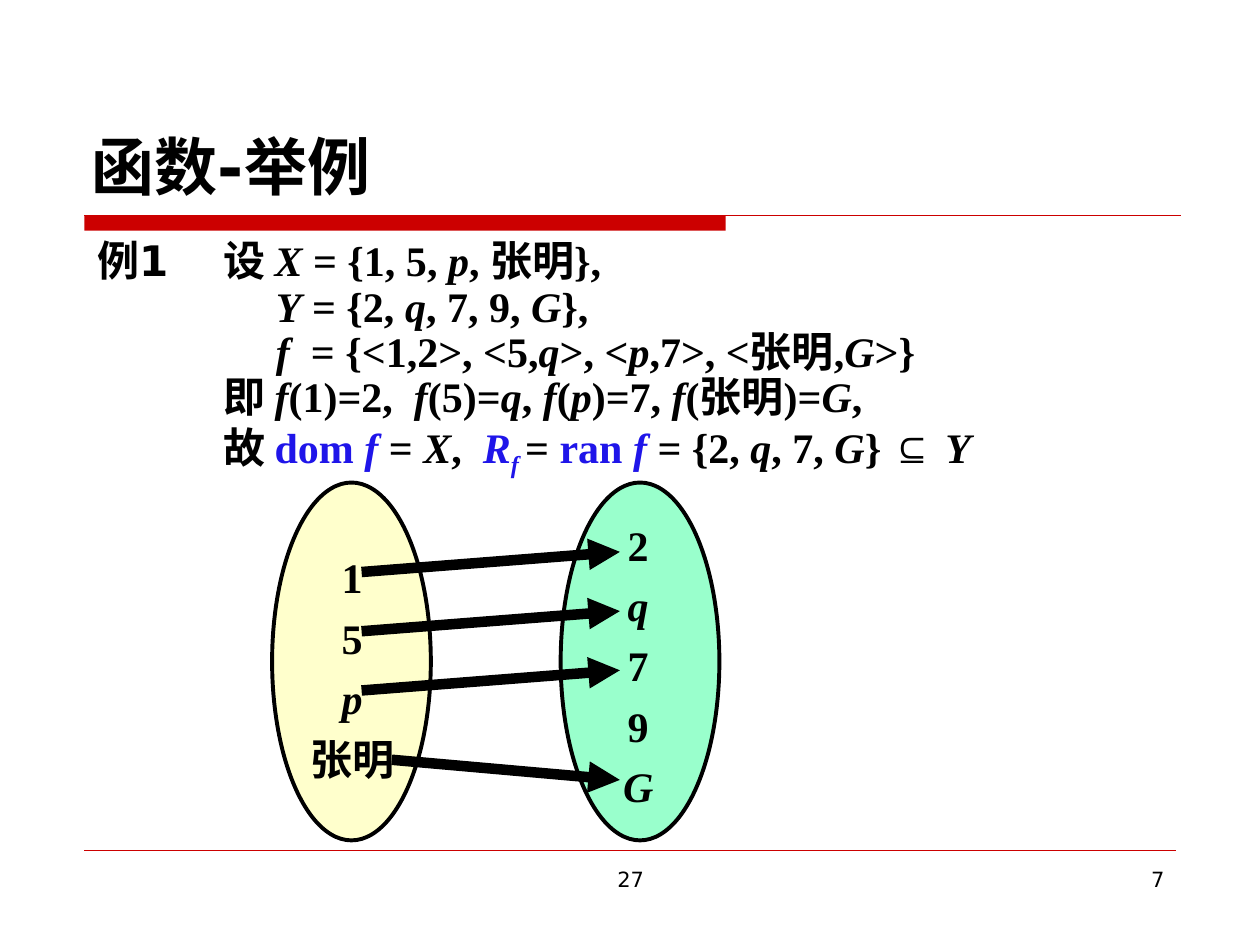
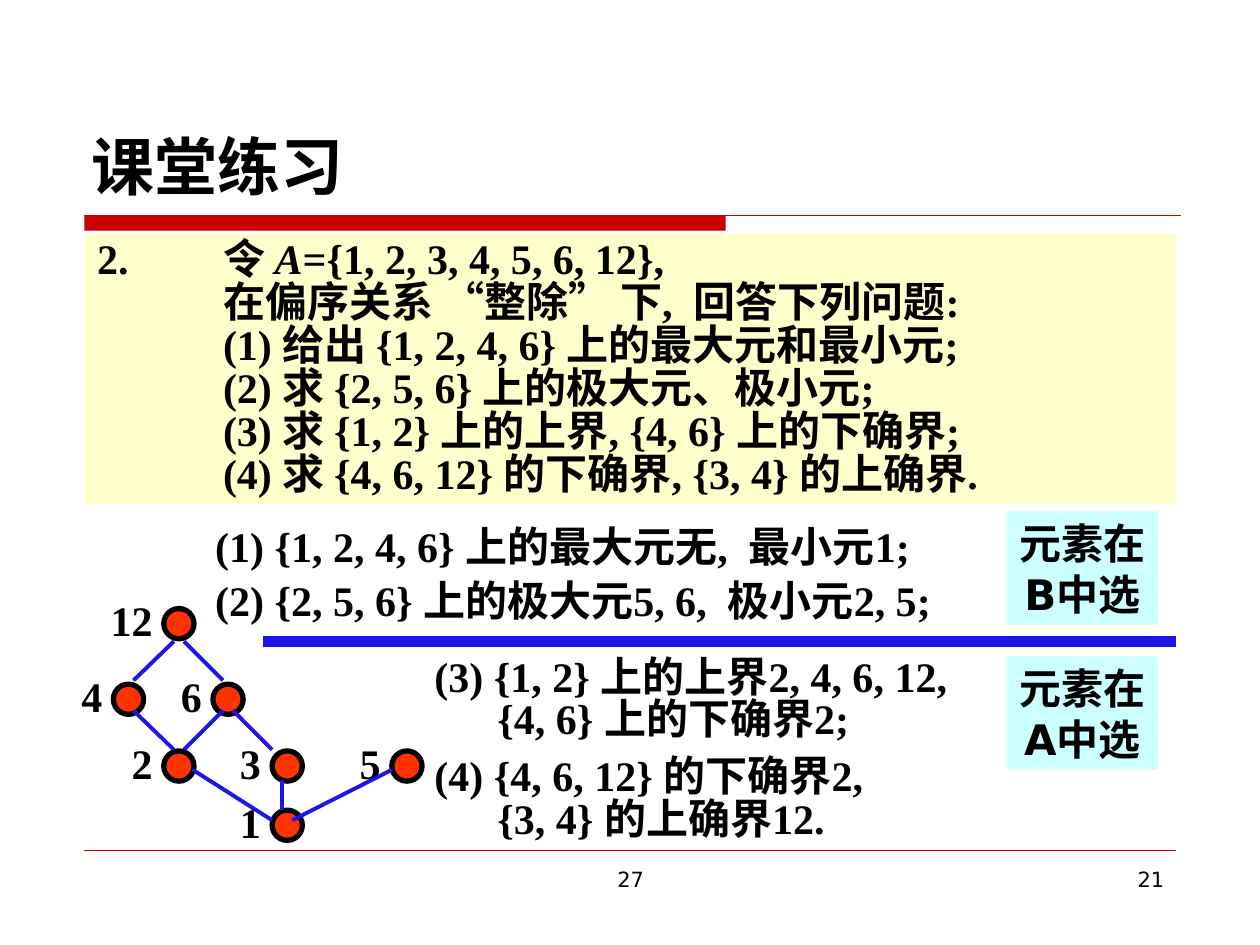
from lxml import etree
from pptx import Presentation
from pptx.dml.color import RGBColor
from pptx.enum import shapes, text
from pptx.oxml import ns
from pptx.util import Inches, Pt

BLACK = RGBColor(0x00, 0x00, 0x00)
RED = RGBColor(0xCC, 0x00, 0x00)
BLUE = RGBColor(0x1F, 0x15, 0xE9)
CREAM = RGBColor(0xFF, 0xFF, 0xCC)
MINT = RGBColor(0x99, 0xFF, 0xCC)
AQUA = RGBColor(0xCC, 0xFF, 0xFF)
ORANGE = RGBColor(0xFF, 0x33, 0x00)
SERIF = "Times New Roman"
SANS = "DejaVu Sans"
CJK = "Noto Sans CJK JP"
LEFT, CENTER, RIGHT = text.PP_ALIGN.LEFT, text.PP_ALIGN.CENTER, text.PP_ALIGN.RIGHT
TOP, MIDDLE, BOTTOM = text.MSO_ANCHOR.TOP, text.MSO_ANCHOR.MIDDLE, text.MSO_ANCHOR.BOTTOM


def add_element(parent, tag, **attributes):
    return etree.SubElement(parent, ns.qn(tag), attributes)


def write(para, words, font=SERIF, size=24, color=BLACK, bold=True, baseline=0):
    """Text between asterisks is italic."""
    for index, part in enumerate(words.split("*")):
        if not part:
            continue
        span = para.add_run()
        span.text = part
        span.font.name = font
        span.font.size = Pt(size)
        span.font.bold = bold
        span.font.italic = index % 2 == 1
        span.font.color.rgb = color
        properties = span.font._element
        if baseline:
            properties.set("baseline", str(baseline))
        add_element(properties, "a:ea", typeface=CJK)


def fill_frame(frame, lines, align=LEFT, anchor=TOP, spacing=1, wrap=True,
               auto_size=text.MSO_AUTO_SIZE.NONE, **style):
    frame.word_wrap = wrap
    frame.auto_size = auto_size
    frame.vertical_anchor = anchor
    for index, line in enumerate(lines):
        para = frame.paragraphs[0] if index == 0 else frame.add_paragraph()
        para.alignment = align
        para.line_spacing = spacing
        para.space_before = para.space_after = Pt(0)
        spans = [(line, {})] if isinstance(line, str) else line
        for words, extra in spans:
            write(para, words, **{**style, **extra})


def place(shape, box):
    shape.left, shape.top, shape.width, shape.height = map(Inches, box)


def indent(para, margin):
    properties = para._p.get_or_add_pPr()
    properties.set("marL", str(Inches(margin)))
    properties.set("indent", "0")
    return properties


def add_text(page, box, lines, **style):
    label = page.shapes.add_textbox(*map(Inches, box))
    fill_frame(label.text_frame, lines, **style)
    return label


def add_block(page, kind, box, fill, line_width=0):
    block = page.shapes.add_shape(kind, *map(Inches, box))
    block.shadow.inherit = False
    block.fill.solid()
    block.fill.fore_color.rgb = fill
    if line_width:
        block.line.color.rgb = BLACK
        block.line.width = Pt(line_width)
    else:
        block.line.fill.background()
    return block


def add_line(page, start, end, color, width, arrow=False):
    line = page.shapes.add_connector(
        shapes.MSO_CONNECTOR.STRAIGHT, *map(Inches, (*start, *end)))
    line.line.color.rgb = color
    line.line.width = Pt(width)
    if arrow:
        add_element(line.line._get_or_add_ln(), "a:tailEnd", type="triangle")
    add_element(line._element.spPr, "a:effectLst")


def add_page(deck, title, number):
    page = deck.slides.add_slide(deck.slide_layouts[1])
    add_block(page, shapes.MSO_SHAPE.RECTANGLE, (0.67, 1.71, 5.09, 0.12), RED)
    add_line(page, (0.67, 1.71), (9.37, 1.71), RED, 1)
    add_line(page, (0.67, 6.75), (9.33, 6.75), RED, 0.25)
    footer = {"font": SANS, "size": 12, "bold": False}
    add_text(page, (3.42, 6.83, 3.17, 0.52), ["27"], align=CENTER, **footer)
    add_text(page, (7.17, 6.83, 2.17, 0.52), [number], align=RIGHT, **footer)
    place(page.shapes.title, (0.63, 0.33, 8.75, 1.33))
    fill_frame(page.shapes.title.text_frame, [title], anchor=BOTTOM, font=SANS, size=36)
    return page


def fill_body(page, box, lines, margins, spacing, fill=None):
    body = page.placeholders[1]
    place(body, box)
    if fill is not None:
        body.fill.solid()
        body.fill.fore_color.rgb = fill
    fill_frame(body.text_frame, lines, spacing=spacing)
    for para, margin in zip(body.text_frame.paragraphs, margins):
        add_element(indent(para, margin), "a:buNone")


def add_set(page, box, members, text_left, text_top, fill):
    left, top, width, height = box
    add_block(page, shapes.MSO_SHAPE.OVAL, box, fill, 2.25)
    add_text(page, (left + text_left, top + text_top, 0.93, height - 2 * text_top),
             members, align=CENTER, spacing=1.2)


def add_mapping(page, left, top):
    add_set(page, (left, top, 1.26, 2.84), ["1", "5", "*p*", "张明"], 0.17, 0.42, CREAM)
    add_set(page, (left + 2.29, top, 1.26, 2.84), ["2", "*q*", "7", "9", "*G*"],
            0.15, 0.16, MINT)
    arrows = [(0.71, 0.71 + 0.47 * row, -0.16) for row in range(3)] + [(0.95, 2.2, 0.16)]
    for x, y, rise in arrows:
        add_line(page, (left + x, top + y), (left + 2.76, top + y + rise), BLACK, 6, arrow=True)


def add_divisor_diagram(page, left, top):
    nodes = {"1": (1.49, 1.68), "2": (0.63, 1.21), "3": (1.49, 1.21), "5": (2.44, 1.21),
             "4": (0.23, 0.68), "6": (1.02, 0.68), "12": (0.63, 0.08)}
    edges = [(0.86, 1.36, 1.49, 1.76), (2.44, 1.36, 1.65, 1.76), (1.57, 1.44, 1.57, 1.68),
             (1.1, 0.89, 0.79, 1.2), (1.18, 0.89, 1.49, 1.2), (0.39, 0.89, 0.71, 1.2),
             (0.79, 0.34, 1.1, 0.65), (0.71, 0.34, 0.39, 0.65)]
    for name, (x, y) in nodes.items():
        add_block(page, shapes.MSO_SHAPE.FLOWCHART_CONNECTOR,
                  (left + x, top + y, 0.24, 0.24), ORANGE, 3)
        add_text(page, (left + x - 0.63, top + y - 0.08, 0.64, 0.42), [name],
                 align=RIGHT, spacing=0.8)
    for x1, y1, x2, y2 in edges:
        add_line(page, (left + x1, top + y1), (left + x2, top + y2), BLUE, 2.25)


def add_answer(page, box, lines):
    answer = add_text(page, box, lines, anchor=MIDDLE, spacing=0.85)
    for para in answer.text_frame.paragraphs[1:]:
        indent(para, 0.5)


def add_hint(page, left, top, set_name):
    hint = add_block(page, shapes.MSO_SHAPE.RECTANGLE, (left, top, 1.2, 0.9), AQUA)
    fill_frame(hint.text_frame, ["元素在", [(set_name, {"font": SANS}), ("中选", {})]],
               align=CENTER, wrap=False, font=CJK,
               auto_size=text.MSO_AUTO_SIZE.SHAPE_TO_FIT_TEXT)


def build_function_example(deck):
    page = add_page(deck, "函数-举例", "7")
    blue = {"color": BLUE}
    fill_body(page, (0.67, 1.86, 8.66, 1.95), [
        [("例", {}), ("1\t", {"font": SANS}), ("设 *X* = {1, 5, *p*, 张明},", {})],
        "*Y* = {2, *q*, 7, 9, *G*},",
        "*f*  = {<1,2>, <5,*q*>, <*p*,7>, <张明,*G*>}",
        "即 *f*(1)=2,  *f*(5)=*q*, *f*(*p*)=7, *f*(张明)=*G*,",
        [("故 ", {}), ("dom *f *", blue), ("= *X*,  ", {}), ("*R*", blue),
         ("*f *", {"color": BLUE, "baseline": -25000}), ("= ", {}), ("ran *f *", blue),
         ("= {2, *q*, 7, *G*} ", {}), ("⊆ ", {"font": "Arial"}), ("*Y*", {})],
    ], [0, 1.42, 1.42, 1, 1], 0.9)
    add_mapping(page, 2.16, 3.83)


def build_exercise(deck):
    page = add_page(deck, "课堂练习", "21")
    fill_body(page, (0.67, 1.86, 8.66, 2.14), [
        "2.\t\t令 *A*={1, 2, 3, 4, 5, 6, 12},",
        "在偏序关系 “整除” 下,  回答下列问题:",
        "(1) 给出 {1, 2, 4, 6} 上的最大元和最小元;",
        "(2) 求 {2, 5, 6} 上的极大元、极小元;",
        "(3) 求 {1, 2} 上的上界, {4, 6} 上的下确界;",
        "(4) 求 {4, 6, 12} 的下确界, {3, 4} 的上确界.",
    ], [0] + [1] * 5, 0.85, CREAM)
    add_divisor_diagram(page, 0.67, 4.75)
    add_answer(page, (1.61, 4.14, 6.69, 0.44), ["(1) {1, 2, 4, 6} 上的最大元无,  最小元1;"])
    add_answer(page, (1.61, 4.57, 6.69, 0.44), ["(2) {2, 5, 6} 上的极大元5, 6,  极小元2, 5;"])
    add_answer(page, (3.35, 5.17, 5.2, 0.78),
               ["(3) {1, 2} 上的上界2, 4, 6, 12,", "{4, 6} 上的下确界2;"])
    add_answer(page, (3.35, 5.96, 5.2, 0.78),
               ["(4) {4, 6, 12} 的下确界2,", "{3, 4} 的上确界12."])
    add_line(page, (2.09, 5.09), (9.33, 5.09), BLUE, 6)
    add_hint(page, 7.99, 4.06, "B")
    add_hint(page, 7.99, 5.21, "A")


def main():
    deck = Presentation()
    deck.slide_width, deck.slide_height = Inches(10), Inches(7.5)
    build_function_example(deck)
    build_exercise(deck)
    deck.save("out.pptx")


if __name__ == "__main__":
    main()
